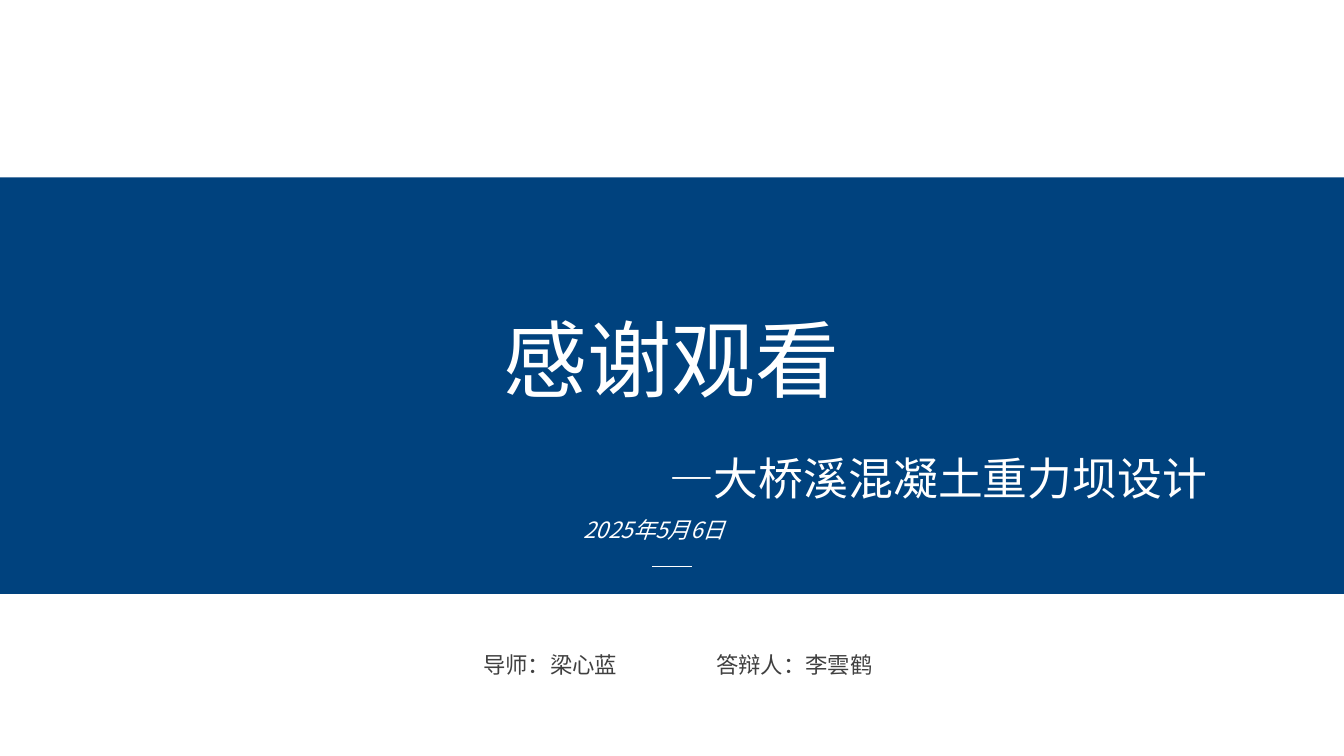
from lxml import etree
from pptx import Presentation
from pptx.dml.color import RGBColor
from pptx.enum.shapes import MSO_CONNECTOR, MSO_SHAPE
from pptx.enum.text import MSO_AUTO_SIZE, PP_ALIGN
from pptx.oxml.ns import qn
from pptx.util import Pt

RECTANGLE = MSO_SHAPE.RECTANGLE
STRAIGHT = MSO_CONNECTOR.STRAIGHT
FIT_SHAPE = MSO_AUTO_SIZE.SHAPE_TO_FIT_TEXT
LEFT, CENTER, JUSTIFY = PP_ALIGN.LEFT, PP_ALIGN.CENTER, PP_ALIGN.JUSTIFY

WIDTH, HEIGHT = 960, 540
FONT = "Noto Sans CJK SC"
COLORS = {"band": "00427E", "light": "FFFFFF", "dark": "404040"}


class SlideBuilder:
    def __init__(self, slide):
        self.slide = slide

    def color(self, name):
        return RGBColor.from_string(COLORS[name])

    def rectangle(self, left, top, width, height, color):
        shape = self.slide.shapes.add_shape(
            RECTANGLE, Pt(left), Pt(top), Pt(width), Pt(height))
        shape.shadow.inherit = False
        shape.fill.solid()
        shape.fill.fore_color.rgb = self.color(color)
        shape.line.fill.background()

    def rule(self, left, top, width, color):
        line = self.slide.shapes.add_connector(
            STRAIGHT, Pt(left), Pt(top), Pt(left + width), Pt(top))
        line.line.color.rgb = self.color(color)
        line.line.width = Pt(0.5)
        etree.SubElement(line._element.spPr, qn("a:effectLst"))

    def text(self, content, left, top, width, height, size, color,
             align=CENTER, italic=None, wrap=True):
        box = self.slide.shapes.add_textbox(
            Pt(left), Pt(top), Pt(width), Pt(height))
        frame = box.text_frame
        frame.word_wrap = wrap
        frame.auto_size = FIT_SHAPE
        paragraph = frame.paragraphs[0]
        paragraph.text = content
        paragraph.alignment = align
        font = paragraph.font
        font.size = Pt(size)
        font.italic = italic
        font.color.rgb = self.color(color)
        font.name = FONT
        east_asian = etree.SubElement(font._element, qn("a:ea"))
        east_asian.set("typeface", FONT)


def main():
    presentation = Presentation()
    presentation.slide_width = Pt(WIDTH)
    presentation.slide_height = Pt(HEIGHT)
    slide = presentation.slides.add_slide(presentation.slide_layouts[6])
    builder = SlideBuilder(slide)

    builder.rectangle(0, 126.8, WIDTH, 297.4, "band")
    builder.text("感谢观看", 351.4, 216, 257, 80, 60, "light", wrap=False)
    builder.text("2025年5月6日", 409.7, 365, 140.4, 26.6, 16, "light",
                 align=JUSTIFY, italic=True)
    builder.rule(465.8, 404.2, 28.4, "light")
    for content, left in (("导师：梁心蓝", 314.6), ("答辩人：李雲鹤", 488.9)):
        builder.text(content, left, 461.5, 157, 26.6, 16, "dark")
    builder.text("—大桥溪混凝土重力坝设计", 470.9, 318.2, 418.3, 46, 32,
                 "light", align=LEFT)

    presentation.save("out.pptx")


if __name__ == "__main__":
    main()
